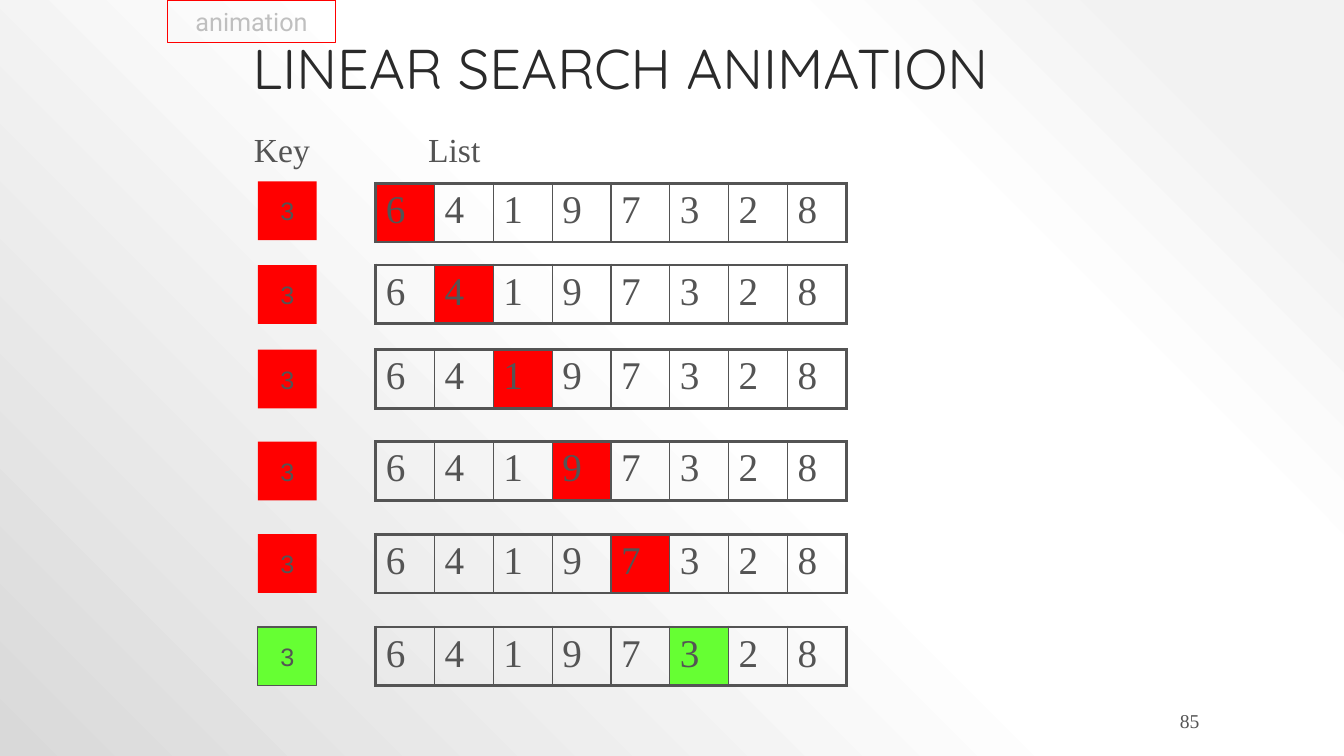
from dataclasses import dataclass

from lxml import etree
from pptx import Presentation
from pptx.dml.color import RGBColor
from pptx.enum.shapes import MSO_SHAPE
from pptx.enum.text import MSO_ANCHOR, PP_ALIGN
from pptx.oxml import parse_xml
from pptx.oxml.ns import nsdecls, qn
from pptx.util import Cm, Pt

RECT = MSO_SHAPE.RECTANGLE
TOP, MIDDLE, BOTTOM = MSO_ANCHOR.TOP, MSO_ANCHOR.MIDDLE, MSO_ANCHOR.BOTTOM
LEFT, CENTER, RIGHT = PP_ALIGN.LEFT, PP_ALIGN.CENTER, PP_ALIGN.RIGHT


@dataclass(frozen=True)
class Theme:
    """Colours, fonts and sizes of the slide."""
    ink: str = "545454"
    title_ink: str = "2A2A2A"
    tag_ink: str = "BFBFBF"
    miss: str = "FF0000"
    hit: str = "66FF33"
    backdrop: tuple = ((10, "F2F2F2"), (28, "FFFFFF"), (48, "FFFFFF"), (100, "D9D9D9"))
    serif: str = "Times New Roman"
    sans: str = "Arial"
    title_font: str = "Quicksand"
    tag_font: str = "Roboto"
    title_size: float = 40
    cell_size: float = 28
    label_size: float = 24
    key_size: float = 18
    number_size: float = 14
    outer_line: float = 2.25
    inner_line: float = 1
    key_line: float = 0.75


THEME = Theme()
NUMBERS = (6, 4, 1, 9, 7, 3, 2, 8)
KEY = 3
KEY_LEFT, LIST_LEFT, LIST_WIDTH, CELL = 6.5, 9.47, 11.86, 1.48
STEP_TOPS = ((4.57, 4.62), (6.68, 6.68), (8.81, 8.81),
             (11.13, 11.13), (13.46, 13.46), (15.8, 15.8))


def style(p, text, font, size, color, align=LEFT):
    """Fill a paragraph with text and set its font."""
    p.text = text
    p.alignment = align
    p.font.name = font
    p.font.size = Pt(size)
    p.font.color.rgb = RGBColor.from_string(color)


def add_text(s, box, text, font, size, color, align=LEFT, anchor=TOP):
    """Add a wrapping text box and return its paragraph."""
    tf = s.shapes.add_textbox(*map(Cm, box)).text_frame
    tf.word_wrap = True
    tf.vertical_anchor = anchor
    p = tf.paragraphs[0]
    style(p, text, font, size, color, align)
    return p


def add_box(s, box, text, font, size, color, fill=None, line=None, width=1):
    """Add a rectangle with centred text."""
    sp = s.shapes.add_shape(RECT, *map(Cm, box))
    sp.shadow.inherit = False
    if fill:
        sp.fill.solid()
        sp.fill.fore_color.rgb = RGBColor.from_string(fill)
    else:
        sp.fill.background()
    if line:
        sp.line.color.rgb = RGBColor.from_string(line)
        sp.line.width = Pt(width)
    else:
        sp.line.fill.background()
    tf = sp.text_frame
    tf.word_wrap = False
    tf.vertical_anchor = MIDDLE
    style(tf.paragraphs[0], text, font, size, color, CENTER)


def add_backdrop(s):
    """Shade the background from the top right corner."""
    stops = "".join(f'<a:gs pos="{at * 1000}"><a:srgbClr val="{color}"/></a:gs>'
                    for at, color in THEME.backdrop)
    bg = parse_xml(
        f'<p:bg {nsdecls("p", "a")}><p:bgPr><a:gradFill rotWithShape="1">'
        f'<a:gsLst>{stops}</a:gsLst><a:path path="circle">'
        '<a:fillToRect l="100000" b="100000"/></a:path></a:gradFill>'
        '<a:effectLst/></p:bgPr></p:bg>')
    s.element.cSld.insert(0, bg)


def set_borders(cell, first, last):
    """Draw heavy outer edges and thin inner ones."""
    outer, inner = THEME.outer_line, THEME.inner_line
    widths = {"L": outer if first else inner, "R": outer if last else inner,
              "T": outer, "B": outer}
    tc_pr = cell._tc.get_or_add_tcPr()
    for i, (side, width) in enumerate(widths.items()):
        ln = etree.Element(qn(f"a:ln{side}"), w=str(Pt(width)))
        fill = etree.SubElement(ln, qn("a:solidFill"))
        etree.SubElement(fill, qn("a:srgbClr"), val=THEME.ink)
        tc_pr.insert(i, ln)


def add_list(s, box, current, color):
    """Add the list as a one-row table with the current cell coloured."""
    left, top, width, height = box
    count = len(NUMBERS)
    table = s.shapes.add_table(1, count, *map(Cm, box)).table
    table.first_row = table.horz_banding = False
    for i, number in enumerate(NUMBERS):
        table.columns[i].width = Cm(width / count)
        cell = table.cell(0, i)
        if i == current:
            cell.fill.solid()
            cell.fill.fore_color.rgb = RGBColor.from_string(color)
        else:
            cell.fill.background()
        set_borders(cell, i == 0, i == count - 1)
        style(cell.text_frame.paragraphs[0], str(number),
              THEME.serif, THEME.cell_size, THEME.ink)


def add_step(s, index, key_top, list_top):
    """Add one comparison: the key and the list beside it."""
    found = NUMBERS[index] == KEY
    color = THEME.hit if found else THEME.miss
    add_list(s, (LIST_LEFT, list_top, LIST_WIDTH, CELL), index, color)
    add_box(s, (KEY_LEFT, key_top, CELL, CELL), str(KEY), THEME.sans,
            THEME.key_size, THEME.ink, color,
            THEME.ink if found else None, THEME.key_line)


def add_header(s):
    """Add the title, the tag and the column labels."""
    p = add_text(s, (6.12, 0.79, 21.59, 1.9), "LINEAR SEARCH ANIMATION",
                 THEME.title_font, THEME.title_size, THEME.title_ink, anchor=BOTTOM)
    p.line_spacing = 0.9
    add_box(s, (4.22, 0, 4.24, 1.07), "animation", THEME.tag_font,
            THEME.key_size, THEME.tag_ink, line=THEME.miss)
    for text, left, width in (("Key", 6.15, 3.1), ("List", 10.54, 6.2)):
        p = add_text(s, (left, 3.12, width, 1.27), text,
                     THEME.serif, THEME.label_size, THEME.ink)
        p.space_before = Pt(2)


def main():
    """Build and save the slide."""
    prs = Presentation()
    prs.slide_width, prs.slide_height = Cm(33.87), Cm(19.05)
    s = prs.slides.add_slide(prs.slide_layouts[6])
    add_backdrop(s)
    add_header(s)
    for index, (key_top, list_top) in enumerate(STEP_TOPS):
        add_step(s, index, key_top, list_top)
    add_text(s, (27.3, 17.91, 3.18, 0.51), "85", THEME.serif,
             THEME.number_size, THEME.ink, RIGHT, MIDDLE)
    prs.save("out.pptx")


if __name__ == "__main__":
    main()
